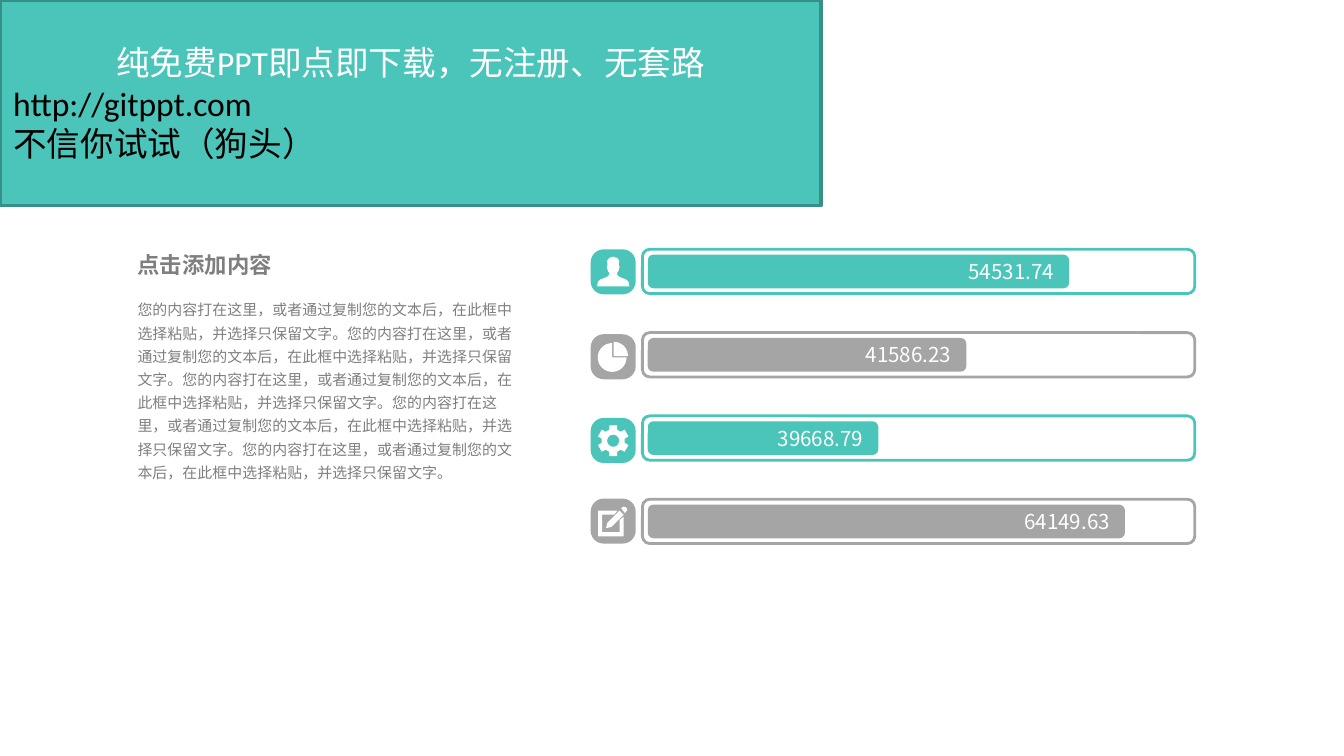
import math
from lxml import etree
from pptx import Presentation, util as u
from pptx.dml.color import RGBColor
from pptx.enum import shapes, text
from pptx.oxml import ns

TEAL = RGBColor(0x4B, 0xC5, 0xB9)
DARK_TEAL = RGBColor(0x35, 0x90, 0x87)
SILVER = RGBColor(0xA5, 0xA5, 0xA5)
GRAY = RGBColor(0x7F, 0x7F, 0x7F)
WHITE = RGBColor(0xFF, 0xFF, 0xFF)
BLACK = RGBColor(0, 0, 0)
SANS = "Noto Sans CJK SC"
LEFT, CENTER, RIGHT = text.PP_ALIGN.LEFT, text.PP_ALIGN.CENTER, text.PP_ALIGN.RIGHT

# Square grid: 100 columns across, 56.25 rows down (16:9)
CELL = u.Inches(0.1)
COLUMNS, ROWS = 100, 56.25

deck = Presentation()
deck.slide_width, deck.slide_height = int(COLUMNS * CELL), int(ROWS * CELL)
page = deck.slides.add_slide(deck.slide_layouts[6])


def add_box(kind, column, row, columns, rows, fill=None, line=None, weight=1.5):
    """Add a preset shape placed in grid cells, without shadow."""
    box = page.shapes.add_shape(kind, *(int(n * CELL) for n in (column, row, columns, rows)))
    box.shadow.inherit = False
    if fill is None:
        box.fill.background()
    else:
        box.fill.solid()
        box.fill.fore_color.rgb = fill
    if line is None:
        box.line.fill.background()
    else:
        box.line.color.rgb = line
        box.line.width = u.Pt(weight)
    return box


def add_line(frame, words, size, color, align=LEFT, font=SANS):
    """Write one paragraph, using the frame's first one while it is empty."""
    para = frame.paragraphs[0]
    if para.runs:
        para = frame.add_paragraph()
    para.alignment = align
    # Keep punctuation inside the right margin
    para._p.get_or_add_pPr().set("hangingPunct", "0")
    span = para.add_run()
    span.text = words
    span.font.size = u.Pt(size)
    span.font.name = font
    span.font.color.rgb = color
    east_asian = etree.SubElement(span.font._element, ns.qn("a:ea"))
    east_asian.set("typeface", SANS)
    return para


# Icon outlines, in grid cells
CENTER_COLUMN = 45.63
person_half = [(0, 19.1), (0.3, 19.2), (0.45, 19.4), (0.42, 19.75), (0.48, 19.85),
               (0.4, 20.15), (0.3, 20.3), (0.3, 20.45), (0.45, 20.6), (0.95, 20.8),
               (1.13, 20.95), (1.2, 21.3)]
person = [[(CENTER_COLUMN + x, y) for x, y in person_half]
          + [(CENTER_COLUMN - x, y) for x, y in reversed(person_half[1:])]]

pie = []
for x, y, start, end in [(45.55, 26.6, 0, 270), (45.66, 26.5, 270, 360)]:
    arc = [math.radians(angle) for angle in range(start, end + 1, 10)]
    pie.append([(x, y)] + [(x + 1.07 * math.cos(a), y + 1.07 * math.sin(a)) for a in arc])

GEAR_ROW = 32.8
teeth = []
for tooth in range(30, 390, 60):
    for offset, radius in [(-20, 0.87), (-14, 1.18), (14, 1.18), (20, 0.87)]:
        angle = math.radians(tooth + offset)
        teeth.append((CENTER_COLUMN + radius * math.cos(angle),
                      GEAR_ROW + radius * math.sin(angle)))
hole = [(CENTER_COLUMN + 0.45 * math.cos(math.radians(a)),
         GEAR_ROW + 0.45 * math.sin(math.radians(a))) for a in range(360, 0, -15)]
gear = [teeth, hole]

pencil = [
    [(46.22, 37.8), (46.4, 37.7), (46.6, 37.75), (46.68, 37.95), (46.5, 38.18)],
    [(45.2, 38.9), (45.1, 39.3), (45.5, 39.2), (46.4, 38.3), (46.1, 38.0)],
    [(46.1, 38.7), (46.1, 39.6), (44.8, 39.6), (44.8, 38.3), (45.7, 38.3), (45.95, 38.0),
     (44.5, 38.0), (44.5, 39.9), (46.4, 39.9), (46.4, 38.45)],
]

# Bars: value, filled columns, colour, badge row, icon
bars = [
    ("54531.74", 31.35, TEAL, 18.55, person),
    ("41586.23", 23.7, SILVER, 24.87, pie),
    ("39668.79", 17.15, TEAL, 31.1, gear),
    ("64149.63", 35.5, SILVER, 37.1, pencil),
]
ROUNDED = shapes.MSO_SHAPE.ROUNDED_RECTANGLE
for index, (value, length, color, badge_row, outlines) in enumerate(bars):
    row = 18.55 + 6.2 * index
    badge = add_box(ROUNDED, 43.95, badge_row, 3.35, 3.35, fill=color)
    badge.adjustments[0] = 0.29

    builder = None
    for outline in outlines:
        points = [(int(x * CELL), int(y * CELL)) for x, y in outline]
        if builder is None:
            builder = page.shapes.build_freeform(*points[0])
        else:
            builder.move_to(*points[0])
        builder.add_line_segments(points[1:], close=True)
    icon = builder.convert_to_shape()
    icon.shadow.inherit = False
    icon.fill.solid()
    icon.fill.fore_color.rgb = WHITE
    icon.line.fill.background()

    add_box(ROUNDED, 47.8, row, 41.1, 3.3, line=color)
    bar = add_box(ROUNDED, 48.2, row + 0.4, length, 2.5, fill=color)
    bar.text_frame.vertical_anchor = text.MSO_ANCHOR.MIDDLE
    add_line(bar.text_frame, value, 11, WHITE, RIGHT)

# Heading and body text
body = "您的内容打在这里，或者通过复制您的文本后，在此框中选择粘贴，并选择只保留文字。" * 5
for words, row, columns, rows, size, color, spacing, bold, inset in [
    ("点击添加内容", 17.7, 24.3, 3, 12, GRAY, 1.5, True, 0),
    (body, 21.5, 30.7, 14.8, 8, GRAY, 1.3, False, 0.5),
]:
    box = page.shapes.add_textbox(*(int(n * CELL) for n in (9.25, row, columns, rows)))
    frame = box.text_frame
    frame.word_wrap = True
    frame.auto_size = text.MSO_AUTO_SIZE.SHAPE_TO_FIT_TEXT
    frame.margin_top = frame.margin_bottom = int(inset * CELL)
    para = add_line(frame, words, size, color)
    para.line_spacing = spacing
    para.runs[0].font.bold = bold

# Banner
banner = add_box(shapes.MSO_SHAPE.RECTANGLE, 0, 0, 61.1, 15.3, TEAL, DARK_TEAL, 2)
banner.text_frame.vertical_anchor = text.MSO_ANCHOR.MIDDLE
for words, color, align in [
    ("纯免费PPT即点即下载，无注册、无套路", WHITE, CENTER),
    ("http://gitppt.com", BLACK, LEFT),
    ("不信你试试（狗头）", BLACK, LEFT),
]:
    add_line(banner.text_frame, words, 18, color, align, "Calibri")

deck.save("out.pptx")
